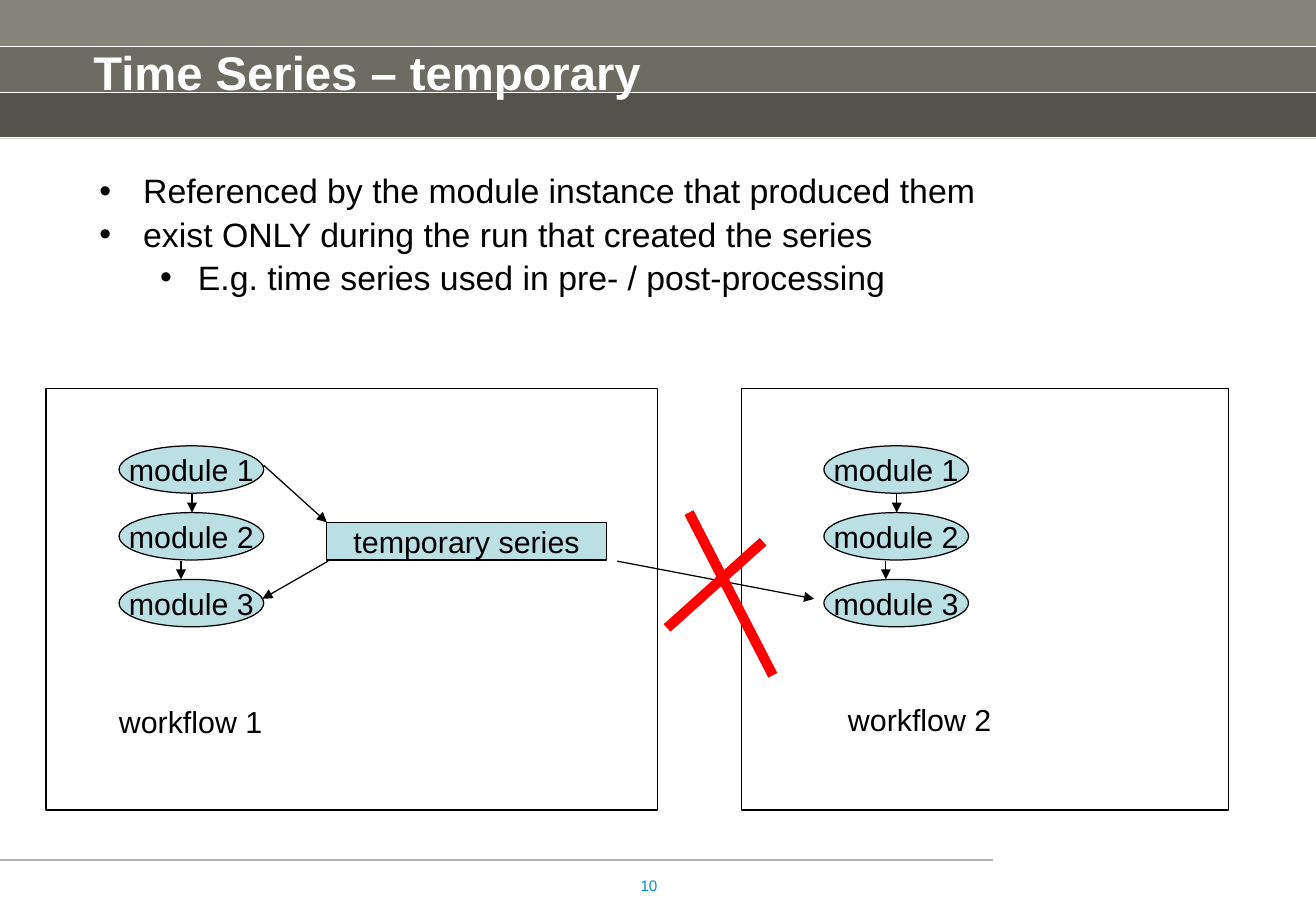
from pptx import Presentation
from pptx.dml.color import RGBColor
from pptx.enum.shapes import MSO_CONNECTOR as Conn, MSO_SHAPE as Form
from pptx.enum.text import MSO_ANCHOR as Anchor, PP_ALIGN as Align
from pptx.oxml.ns import qn
from pptx.util import Inches, Pt
from lxml.etree import SubElement

color = RGBColor.from_string


def write(frame, text, size=18, ink="000000", bold=False, space=1.0, align=Align.LEFT):
    frame.text = text
    for para in frame.paragraphs:
        para.alignment = align
        para.line_spacing = space
        for run in para.runs:
            run.font.name = "Arial"
            run.font.size = Pt(size)
            run.font.bold = bold
            run.font.color.rgb = color(ink)


def link(x1, y1, x2, y2, ink="000000", width=0.75, arrow=False):
    line = slide.shapes.add_connector(
        Conn.STRAIGHT, Inches(x1), Inches(y1), Inches(x2), Inches(y2))
    line.line.color.rgb = color(ink)
    line.line.width = Pt(width)
    if arrow:
        SubElement(line.line._get_or_add_ln(), qn("a:tailEnd"), type="triangle")
    SubElement(line._element.spPr, qn("a:effectLst"))


deck = Presentation()
deck.slide_width, deck.slide_height = Inches(10.83), Inches(7.5)
slide = deck.slides.add_slide(deck.slide_layouts[6])
shapes = slide.shapes

bands = [(0, 1.13, "A6A698", 100), (0, 0.38, "000000", 20),
         (0.38, 0.38, "000000", 35), (0.76, 0.38, "000000", 50)]
for top, high, ink, alpha in bands:
    band = shapes.add_shape(Form.RECTANGLE, 0, Inches(top), Inches(10.83), Inches(high))
    band.shadow.inherit = False
    band.line.fill.background()
    band.fill.solid()
    band.fill.fore_color.rgb = color(ink)
    if alpha < 100:
        tint = band._element.spPr.find(qn("a:solidFill"))[0]
        SubElement(tint, qn("a:alpha"), val=str(alpha * 1000))
for y in (0.38, 0.76, 1.13):
    link(0, y, 10.83, y, "FFFFFF")
link(8.17, 7.08, 0, 7.08, "B2B2B2")

page = shapes.add_textbox(Inches(4.9), Inches(7.23), Inches(0.51), Inches(0.35)).text_frame
page.word_wrap = True
page.margin_left = page.margin_right = page.margin_top = page.margin_bottom = 0
write(page, "10", 9, "008FC5", space=0.92, align=Align.RIGHT)

body = shapes.add_textbox(Inches(0.72), Inches(1.39), Inches(9.21), Inches(4.5)).text_frame
body.word_wrap = True
points = ["Referenced by the module instance that produced them",
          "exist ONLY during the run that created the series",
          "E.g. time series used in pre- / post-processing"]
write(body, "\n".join(points), 20, space=0.9)
indents = [(0, 0.36, 0.36), (0, 0.36, 0.36), (1, 0.81, 0.31)]
for para, (level, left, hang) in zip(body.paragraphs, indents):
    para.level = level
    para.space_before = Pt(4)
    props = para._p.get_or_add_pPr()
    props.set("marL", str(Inches(left)))
    props.set("indent", str(-Inches(hang)))
    SubElement(props, qn("a:buFont"), typeface="Arial")
    SubElement(props, qn("a:buChar"), char="•")

nodes = [(Form.OVAL, f"module {i + 1}", x, 3.67 + 0.55 * i, 1.19, 0.39)
         for x in (0.98, 6.78) for i in range(3)]
nodes.append((Form.RECTANGLE, "temporary series", 2.69, 4.3, 2.3, 0.31))
frames = [(Form.RECTANGLE, "", x, 3.2, wide, 3.47) for x, wide in ((0.38, 5.03), (6.1, 4.01))]
for form, label, x, y, wide, high in nodes + frames:
    node = shapes.add_shape(form, Inches(x), Inches(y), Inches(wide), Inches(high))
    node.shadow.inherit = False
    node.line.color.rgb = color("000000")
    node.line.width = Pt(0.75)
    if label:
        node.fill.solid()
        node.fill.fore_color.rgb = color("BBE0E3")
        node.text_frame.word_wrap = False
        node.text_frame.vertical_anchor = Anchor.MIDDLE
        write(node.text_frame, label, align=Align.CENTER)
    else:
        node.fill.background()

for x in (0.98, 6.78):
    link(x + 0.6, 4.06, x + 0.6, 4.22, arrow=True)
    link(x + 0.51, 4.62, x + 0.51, 4.77, arrow=True)
for ends in ((2.17, 3.83, 2.69, 4.3), (2.7, 4.62, 2.16, 4.93), (5.08, 4.62, 6.7, 4.93)):
    link(*ends, arrow=True)
for ends in ((6.28, 4.46, 5.49, 5.17), (5.67, 4.22, 6.36, 5.56)):
    link(*ends, ink="FF0000", width=6)

for label, x, y in (("workflow 1", 0.88, 5.74), ("workflow 2", 6.88, 5.72)):
    name = shapes.add_textbox(Inches(x), Inches(y), Inches(1.48), Inches(0.4)).text_frame
    name.word_wrap = False
    write(name, label)

title = shapes.add_textbox(Inches(0.67), Inches(0.4), Inches(9.17), Inches(0.85)).text_frame
title.word_wrap = True
write(title, "Time Series – temporary", 28, "FFFFFF", bold=True, space=0.8)

deck.save("out.pptx")
